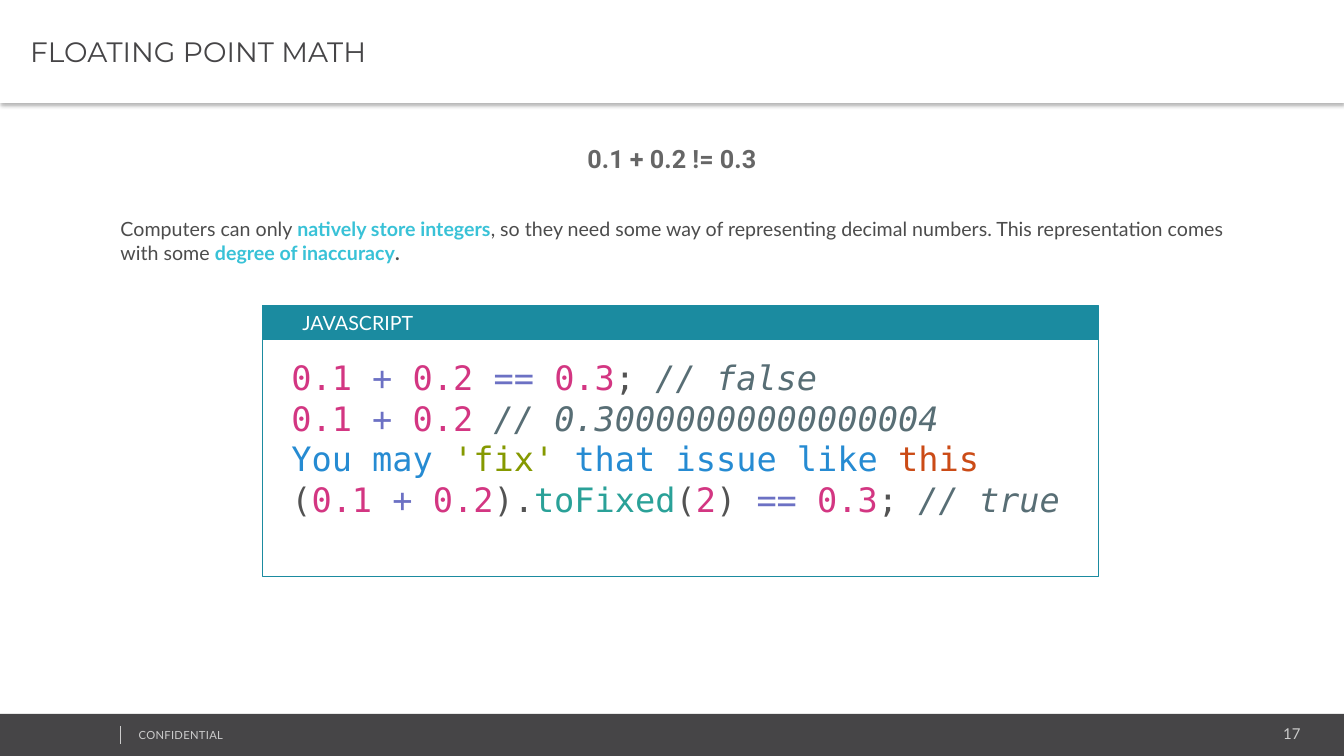
"""Build a slide on floating point math with a JavaScript example."""
from dataclasses import dataclass

from lxml import etree
from pptx import Presentation
from pptx.dml.color import RGBColor
from pptx.enum import shapes, text
from pptx.oxml import ns
from pptx.util import Pt


@dataclass(frozen=True)
class Theme:
    """Colours, fonts and type sizes of the deck."""
    white: str = "FFFFFF"
    dark: str = "464547"
    footer: str = "CCCCCC"
    formula: str = "666666"
    body: str = "4C4C4C"
    accent: str = "39C2D7"
    teal: str = "1B8BA0"
    number: str = "D33682"
    operator: str = "6C71C4"
    plain: str = "535353"
    comment: str = "586E75"
    word: str = "268BD2"
    string: str = "859900"
    keyword: str = "CB4B16"
    method: str = "2AA198"
    sans: str = "Lato"
    heading: str = "Montserrat"
    display: str = "Roboto"
    mono: str = "DejaVu Sans Mono"
    title_size: float = 20
    formula_size: float = 18
    text_size: float = 14
    code_size: float = 24
    page_size: float = 10.7
    small_size: float = 8


THEME = Theme()
WIDTH, HEIGHT = 960, 540
PANEL_LEFT, PANEL_WIDTH = 187.5, 597.5

INTRO = [
    ("Computers can only ", "body"), ("natively store integers", "accent"),
    (", so they need some way of representing decimal numbers. "
     "This representation comes with some ", "body"),
    ("degree of inaccuracy", "accent"), (".", "body"),
]
CODE = [
    [("0.1 ", "number"), ("+ ", "operator"), ("0.2 ", "number"),
     ("== ", "operator"), ("0.3", "number"), ("; ", "plain"),
     ("// false", "comment")],
    [("0.1 ", "number"), ("+ ", "operator"), ("0.2 ", "number"),
     ("// 0.30000000000000004", "comment")],
    [("You may ", "word"), ("'fix' ", "string"),
     ("that issue like ", "word"), ("this", "keyword")],
    [("(", "plain"), ("0.1 ", "number"), ("+ ", "operator"),
     ("0.2", "number"), (").", "plain"), ("toFixed", "method"),
     ("(", "plain"), ("2", "number"), (") ", "plain"), ("== ", "operator"),
     ("0.3", "number"), ("; ", "plain"), ("// true", "comment")],
]


def rgb(role):
    """Return the theme colour of a role."""
    return RGBColor.from_string(getattr(THEME, role))


def add_span(para, words, *, font=THEME.sans, size=THEME.text_size,
             role="body", bold=False, italic=False, tracking=None):
    """Add formatted text to a paragraph."""
    span = para.add_run()
    span.text = words
    span.font.name, span.font.size = font, Pt(size)
    span.font.bold, span.font.italic = bold, italic
    span.font.color.rgb = rgb(role)
    if tracking:
        span.font._element.set("spc", str(round(tracking * 100)))


def set_frame(box, insets=(7.2, 3.6, 7.2, 3.6),
              anchor=text.MSO_ANCHOR.TOP, wrap=True):
    """Set the insets, anchor and wrapping of a box and return its frame."""
    frame = box.text_frame
    frame.auto_size = text.MSO_AUTO_SIZE.NONE
    frame.word_wrap, frame.vertical_anchor = wrap, anchor
    (frame.margin_left, frame.margin_top,
     frame.margin_right, frame.margin_bottom) = map(Pt, insets)
    return frame


def add_text(page, bounds, align=text.PP_ALIGN.LEFT, **layout):
    """Add a text box and return its first paragraph with its frame."""
    frame = set_frame(page.shapes.add_textbox(*map(Pt, bounds)), **layout)
    para = frame.paragraphs[0]
    para.alignment = align
    return para, frame


def add_rectangle(page, bounds, fill=None, line=None):
    """Add a flat rectangle with an optional fill and outline."""
    box = page.shapes.add_shape(shapes.MSO_SHAPE.RECTANGLE, *map(Pt, bounds))
    box.shadow.inherit = False
    if fill:
        box.fill.solid()
        box.fill.fore_color.rgb = rgb(fill)
    else:
        box.fill.background()
    if line:
        box.line.color.rgb, box.line.width = rgb(line), Pt(0.75)
    else:
        box.line.fill.background()
    return box


def add_title(page, words):
    """Format the title placeholder as a white band with a soft shadow."""
    box = page.shapes.title
    box.left, box.top, box.width, box.height = map(Pt, (0, 0, WIDTH, 73.5))
    box.fill.solid()
    box.fill.fore_color.rgb = rgb("white")
    box.shadow.inherit = False
    effects = box._element.spPr.find(ns.qn("a:effectLst"))
    shadow = etree.SubElement(
        effects, ns.qn("a:outerShdw"), blurRad=str(Pt(3.1)),
        dist=str(Pt(2)), dir="5400000", algn="t", rotWithShape="0")
    color = etree.SubElement(shadow, ns.qn("a:srgbClr"), val="000000")
    etree.SubElement(color, ns.qn("a:alpha"), val="30000")
    frame = set_frame(box, (21.6, 3, 5, 3), text.MSO_ANCHOR.MIDDLE)
    para = frame.paragraphs[0]
    para.alignment = text.PP_ALIGN.LEFT
    add_span(para, words, font=THEME.heading, size=THEME.title_size,
             role="dark")


def add_footer(page):
    """Add the dark footer band with its label and page number."""
    add_rectangle(page, (0, 510, WIDTH, 30), fill="dark")
    para, _ = add_text(page, (779, 514, 157, 20), text.PP_ALIGN.RIGHT)
    add_span(para, "17", size=THEME.page_size, role="footer")
    para, _ = add_text(page, (92, 517, 243, 17))
    add_span(para, "CONFIDENTIAL", size=THEME.small_size, role="footer",
             tracking=0.2)
    rule = page.shapes.add_connector(
        shapes.MSO_CONNECTOR.STRAIGHT, *map(Pt, (85.5, 518.5, 85.5, 531.5)))
    rule.line.color.rgb, rule.line.width = rgb("footer"), Pt(0.25)
    etree.SubElement(rule._element.spPr, ns.qn("a:effectLst"))


def add_code_panel(page, label, lines):
    """Add a labelled panel of highlighted code."""
    header = add_rectangle(page, (PANEL_LEFT, 218.5, PANEL_WIDTH, 24),
                           fill="teal", line="teal")
    frame = set_frame(header, (28.5, 3.6, 7.2, 3.6), text.MSO_ANCHOR.MIDDLE)
    frame.paragraphs[0].alignment = text.PP_ALIGN.LEFT
    add_span(frame.paragraphs[0], label, role="white")
    add_rectangle(page, (PANEL_LEFT, 242.5, PANEL_WIDTH, 169), line="teal")
    para, frame = add_text(page, (201, 251.5, 575, 152))
    for index, line in enumerate(lines):
        para = frame.add_paragraph() if index else para
        para.line_spacing = Pt(28.9)
        for words, role in line:
            add_span(para, words, font=THEME.mono, size=THEME.code_size,
                     role=role, italic=role == "comment")


def main():
    """Build and save the deck."""
    deck = Presentation()
    deck.slide_width, deck.slide_height = Pt(WIDTH), Pt(HEIGHT)
    page = deck.slides.add_slide(deck.slide_layouts.get_by_name("Title Only"))
    add_footer(page)
    para, _ = add_text(page, (411, 98.5, 138, 29), text.PP_ALIGN.CENTER,
                       wrap=False)
    add_span(para, "0.1 + 0.2 != 0.3", font=THEME.display,
             size=THEME.formula_size, role="formula", bold=True)
    para, _ = add_text(page, (79, 151.5, 814, 51))
    for words, role in INTRO:
        add_span(para, words, role=role, bold=role == "accent" or words == ".")
    add_code_panel(page, "JAVASCRIPT", CODE)
    add_title(page, "FLOATING POINT MATH")
    deck.save("out.pptx")


if __name__ == "__main__":
    main()
